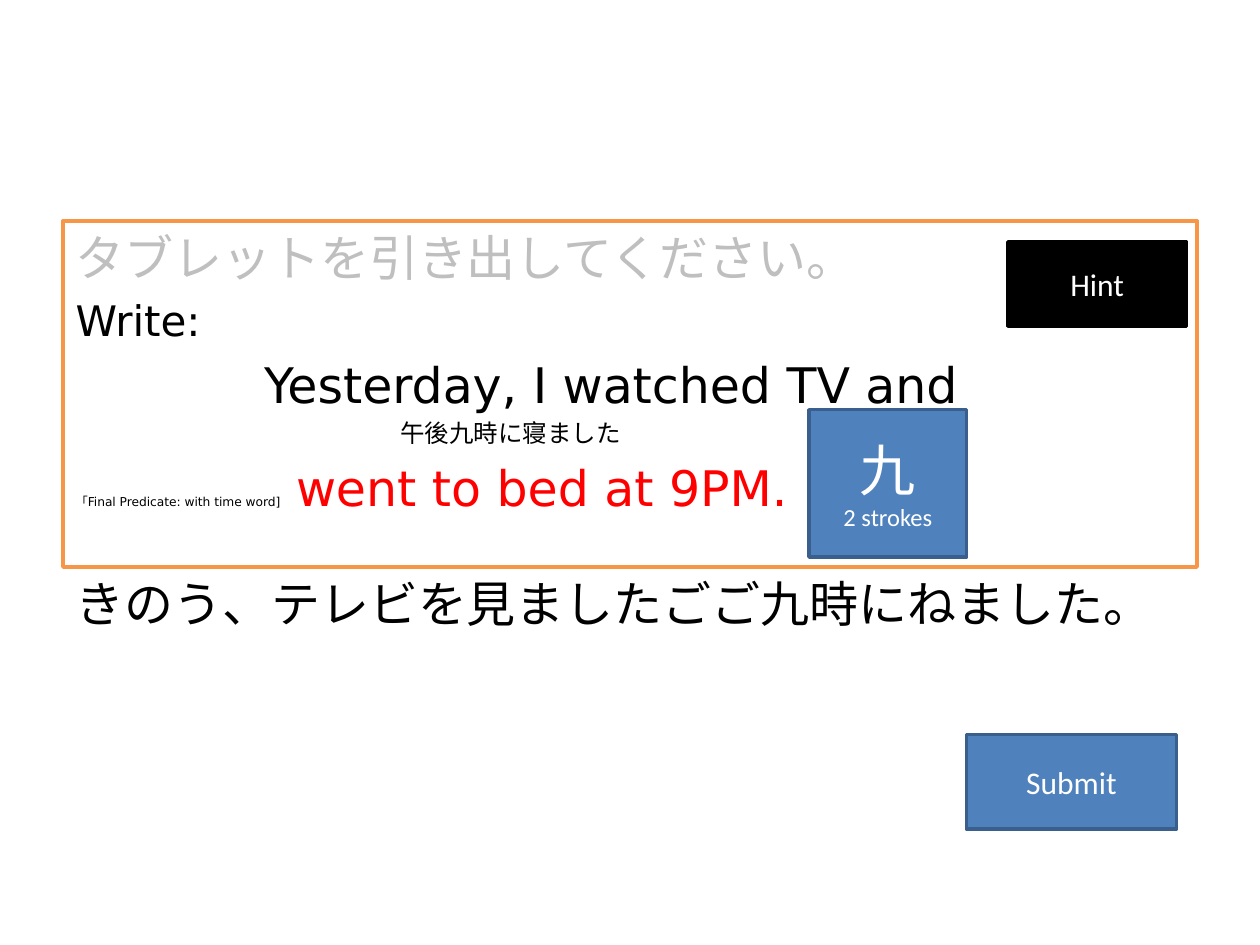
import pptx
import pptx.util
import pptx.dml.color
import pptx.enum.shapes
import pptx.enum.text
import lxml.etree
from dataclasses import dataclass
from pptx.util import Cm


@dataclass
class Theme:
    latin: str = "Calibri"
    wide: str = "DejaVu Sans"
    white: str = "FFFFFF"
    black: str = "000000"
    grey: str = "BFBFBF"
    red: str = "FF0000"
    orange: str = "F79646"
    blue: str = "4F81BD"
    dark_blue: str = "3A5F8C"
    kanji: int = 32
    large: int = 28
    medium: int = 24
    button: int = 18
    small: int = 14
    tiny: int = 7


theme = Theme()


def style_font(font, name, size, color):
    font.name = name
    font.size = pptx.util.Pt(size)
    font.color.rgb = pptx.dml.color.RGBColor.from_string(color)


def paint_box(shape, fill, line):
    shape.fill.solid()
    shape.fill.fore_color.rgb = pptx.dml.color.RGBColor.from_string(fill)
    shape.line.color.rgb = pptx.dml.color.RGBColor.from_string(line)
    shape.line.width = pptx.util.Pt(2)


presentation = pptx.Presentation()
presentation.slide_width = Cm(25.4)
presentation.slide_height = Cm(19.05)
slide = presentation.slides.add_slide(presentation.slide_layouts.get_by_name("Two Content"))
title = slide.shapes.title
title.element.getparent().remove(title.element)

# Exercise and answer: each line is its left indent and its runs
exercise_lines = [
    (0, [("タブレットを引き出してください。", theme.wide, theme.large, theme.grey)]),
    (0, [("Write:", theme.wide, theme.medium, theme.black)]),
    (3.8, [("Yesterday, I watched TV and", theme.wide, theme.large, theme.black)]),
    (6.54, [("午後九時に寝ました", theme.wide, theme.small, theme.black)]),
    (0, [("「Final Predicate: with time word]", theme.wide, theme.tiny, theme.black),
         (" ", theme.wide, theme.large, theme.black),
         ("went to bed at 9PM.", theme.wide, theme.large, theme.red)]),
]
answer_lines = [
    (0, [("きのう、テレビを見ましたごご九時にねました。", theme.latin, theme.large, theme.black)]),
]
exercise, answer = slide.placeholders
paint_box(exercise, theme.white, theme.orange)

for body, top, height, lines in [
    (exercise, 4.45, 6.98, exercise_lines),
    (answer, 11.43, 5.59, answer_lines),
]:
    body.left, body.top, body.width, body.height = Cm(1.27), Cm(top), Cm(22.86), Cm(height)
    frame = body.text_frame
    frame.auto_size = pptx.enum.text.MSO_AUTO_SIZE.NONE
    for index, (indent, runs) in enumerate(lines):
        paragraph = frame.add_paragraph() if index else frame.paragraphs[0]
        properties = paragraph._p.get_or_add_pPr()
        properties.set("marL", str(Cm(indent)))
        properties.set("indent", "0")
        lxml.etree.SubElement(properties, pptx.oxml.ns.qn("a:buNone"))
        if len(runs) == 1:
            style_font(paragraph.font, *runs[0][1:])
        for text, *style in runs:
            run = paragraph.add_run()
            run.text = text
            if len(runs) > 1:
                style_font(run.font, *style)

# Stroke card and buttons
boxes = [
    (16.31, 8.26, 3.18, 2.97, theme.blue, theme.dark_blue,
     [("九", theme.kanji), ("2 strokes", theme.small)]),
    (19.48, 14.81, 4.24, 1.9, theme.blue, theme.dark_blue, [("Submit", theme.button)]),
    (20.32, 4.88, 3.6, 1.7, theme.black, theme.black, [("Hint", theme.button)]),
]
for left, top, width, height, fill, line, labels in boxes:
    box = slide.shapes.add_shape(
        pptx.enum.shapes.MSO_SHAPE.RECTANGLE, Cm(left), Cm(top), Cm(width), Cm(height))
    box.shadow.inherit = False
    paint_box(box, fill, line)
    frame = box.text_frame
    frame.vertical_anchor = pptx.enum.text.MSO_ANCHOR.MIDDLE
    for index, (text, size) in enumerate(labels):
        paragraph = frame.add_paragraph() if index else frame.paragraphs[0]
        paragraph.text = text
        paragraph.alignment = pptx.enum.text.PP_ALIGN.CENTER
        style_font(paragraph.font, theme.latin, size, theme.white)

presentation.save("out.pptx")
